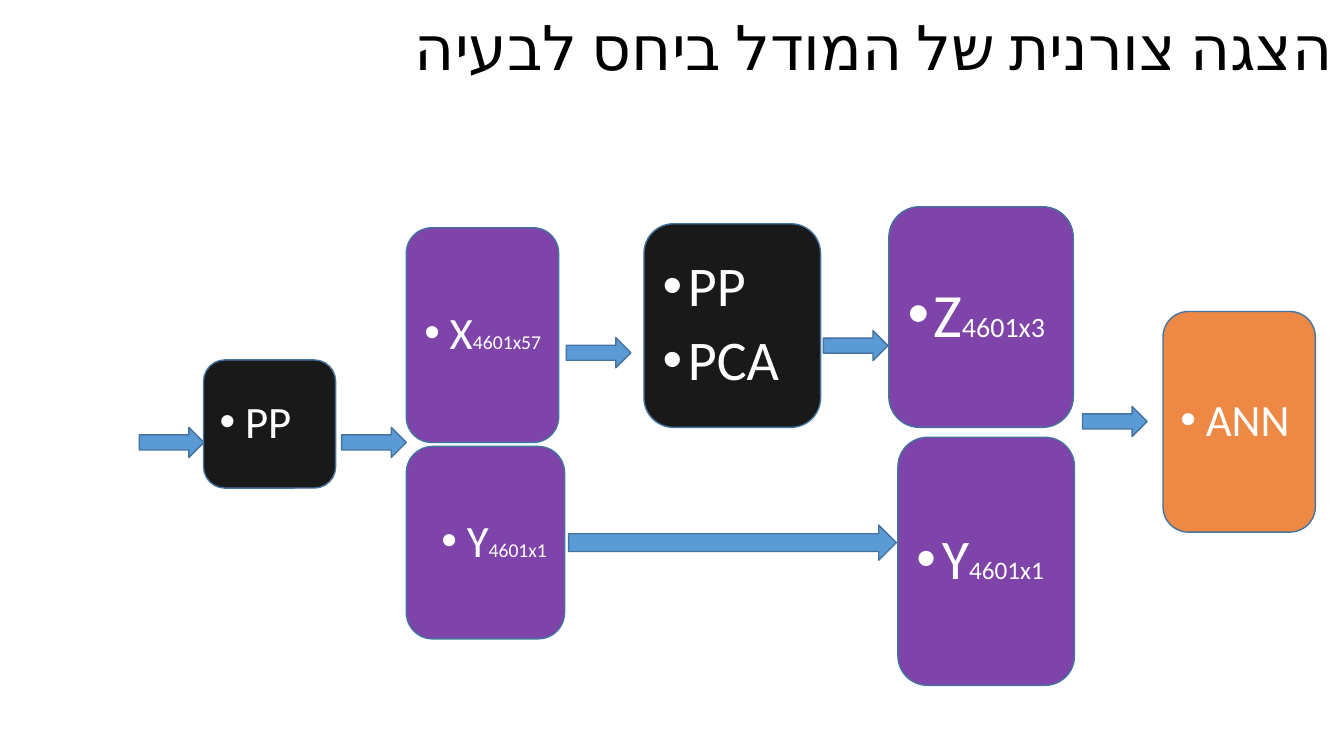
from dataclasses import dataclass

from lxml.etree import SubElement
from pptx import Presentation
from pptx.dml.color import RGBColor
from pptx.enum.lang import MSO_LANGUAGE_ID as Lang
from pptx.enum.shapes import MSO_SHAPE as Preset
from pptx.enum.text import MSO_ANCHOR as Anchor, PP_ALIGN as Align
from pptx.oxml.ns import qn
from pptx.shapes.autoshape import Shape
from pptx.slide import Slide
from pptx.util import Cm, Pt

COLORS = {
    "data": "7030A0",
    "process": "000000",
    "network": "ED7D31",
    "arrow": "5B9BD5",
    "outline": "43739E",
    "title": "000000",
    "label": "FFFFFF",
}
FONT = "Calibri"
FRAME_FORMAT = {"word_wrap": True, "vertical_anchor": Anchor.MIDDLE}
BULLET_INDENT = Cm(0.64)


@dataclass(frozen=True)
class Stage:
    left: float
    top: float
    width: float
    height: float
    role: str
    labels: tuple[str, ...]
    size: int
    dimensions: str = ""
    dimensions_size: int = 0
    align: Align = Align.LEFT


@dataclass(frozen=True)
class Flow:
    left: float
    top: float
    width: float = 1.63
    height: float = 0.76


STAGES = [
    Stage(5.13, 9.07, 3.33, 3.23, "process", ("PP",), 32),
    Stage(10.24, 5.74, 3.84, 5.41, "data", ("X",), 32, "4601x57", 14, Align.RIGHT),
    Stage(10.24, 11.25, 3.99, 4.85, "data", ("Y",), 32, "4601x1", 14, Align.RIGHT),
    Stage(16.23, 5.64, 4.45, 5.13, "process", ("PP", "PCA"), 40),
    Stage(22.4, 5.21, 4.65, 5.56, "data", ("Z",), 44, "4601x3", 20),
    Stage(22.63, 11.02, 4.45, 6.25, "data", ("Y",), 40, "4601x1", 18),
    Stage(29.31, 7.85, 3.84, 5.56, "network", ("ANN",), 32),
]

FLOWS = [
    Flow(3.51, 10.77),
    Flow(8.61, 10.77),
    Flow(14.27, 8.51),
    Flow(14.33, 13.23, 8.26, 0.89),
    Flow(20.75, 8.33),
    Flow(27.28, 10.24),
]


def apply_format(target, values: dict) -> None:
    for name, value in values.items():
        setattr(target, name, value)


def add_run(paragraph, text: str, size: int, color: str):
    run = paragraph.add_run()
    run.text = text
    apply_format(run.font, {"name": FONT, "size": Pt(size)})
    run.font.color.rgb = RGBColor.from_string(COLORS[color])
    return run


def add_block(slide: Slide, preset: Preset, place: Stage | Flow, color: str) -> Shape:
    block = slide.shapes.add_shape(
        preset, Cm(place.left), Cm(place.top), Cm(place.width), Cm(place.height)
    )
    block.shadow.inherit = False
    block.fill.solid()
    block.fill.fore_color.rgb = RGBColor.from_string(COLORS[color])
    block.line.color.rgb = RGBColor.from_string(COLORS["outline"])
    block.line.width = Pt(1)
    return block


def add_stage(slide: Slide, stage: Stage) -> None:
    block = add_block(slide, Preset.ROUNDED_RECTANGLE, stage, stage.role)
    fill_color = block.fill._xPr.find(qn("a:solidFill"))[0]
    SubElement(fill_color, qn("a:alpha"), val="90000")
    frame = block.text_frame
    apply_format(frame, FRAME_FORMAT)
    for index, label in enumerate(stage.labels):
        paragraph = frame.add_paragraph() if index else frame.paragraphs[0]
        properties = paragraph._p.get_or_add_pPr()
        properties.set("marL", str(BULLET_INDENT))
        properties.set("indent", str(-BULLET_INDENT))
        SubElement(properties, qn("a:buFont"), typeface="Arial")
        SubElement(properties, qn("a:buChar"), char="•")
        spacing = {"line_spacing": 0.9, "space_before": Pt(10 if index else 0)}
        apply_format(paragraph, {"alignment": stage.align, **spacing})
        add_run(paragraph, label, stage.size, "label")
        if stage.dimensions:
            add_run(paragraph, stage.dimensions, stage.dimensions_size, "label")


def add_title(slide: Slide, text: str) -> None:
    title = slide.shapes.add_textbox(Cm(4.65), Cm(0), Cm(29.21), Cm(2.54))
    apply_format(title.text_frame, FRAME_FORMAT)
    paragraph = title.text_frame.paragraphs[0]
    apply_format(paragraph, {"alignment": Align.RIGHT, "line_spacing": 0.9})
    paragraph._p.get_or_add_pPr().set("rtl", "1")
    heading = add_run(paragraph, text, 44, "title")
    heading.font.language_id = Lang.HEBREW
    SubElement(heading._r.get_or_add_rPr(), qn("a:cs"), typeface=FONT)


def main() -> None:
    deck = Presentation()
    apply_format(deck, {"slide_width": Cm(33.87), "slide_height": Cm(19.05)})
    slide = deck.slides.add_slide(deck.slide_layouts[6])
    add_title(slide, "הצגה צורנית של המודל ביחס לבעיה")
    for stage in STAGES:
        add_stage(slide, stage)
    for flow in FLOWS:
        add_block(slide, Preset.RIGHT_ARROW, flow, "arrow")
    deck.save("out.pptx")


if __name__ == "__main__":
    main()
